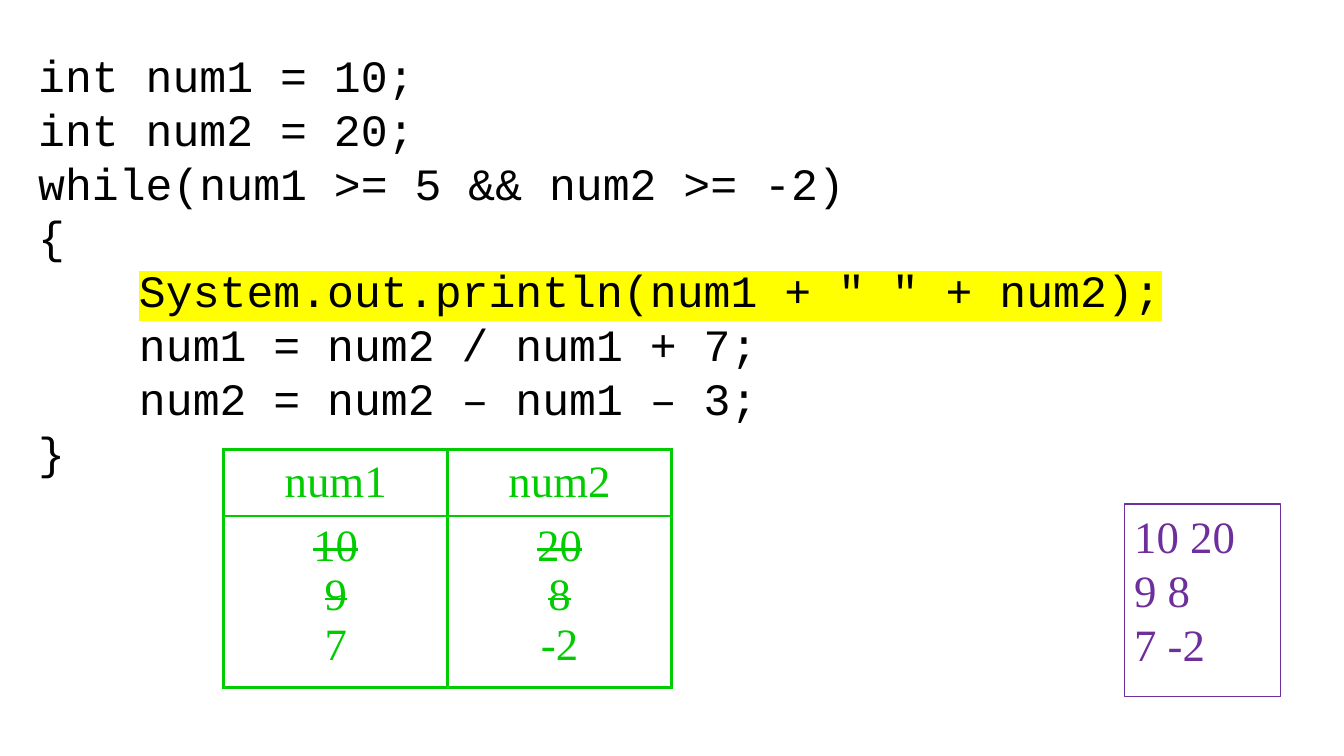
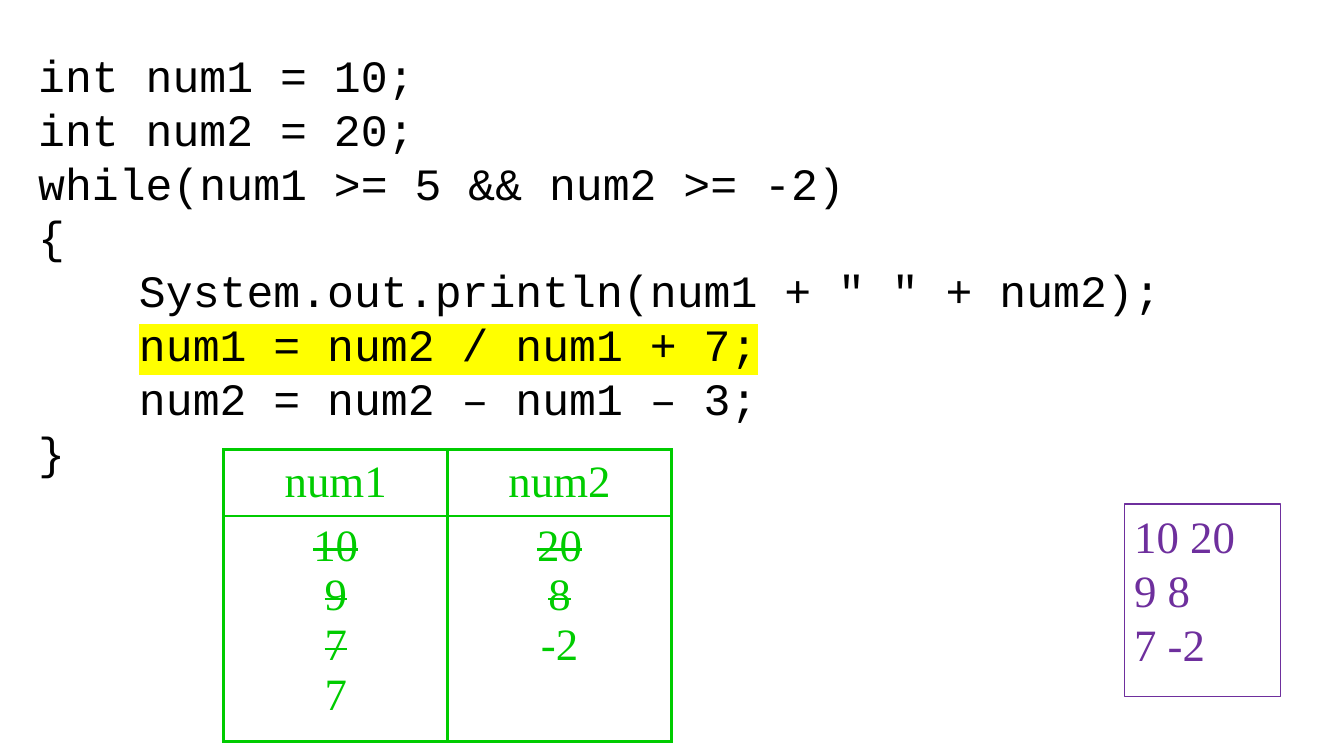
from dataclasses import dataclass

from lxml import etree
from pptx import Presentation
from pptx import util as u
from pptx.dml.color import RGBColor
from pptx.enum import shapes, text
from pptx.oxml import ns

PX = 9144  # 100 px to the inch


@dataclass(frozen=True)
class Theme:
    code: str = "000000"
    trace: str = "00CC00"
    output: str = "6E2F9D"
    mark: str = "FFFF00"
    mono: str = "Courier New"
    serif: str = "Times New Roman"
    size: float = 32
    leading: float = 38.5
    border: float = 2.25
    frame: float = 1
    tab: int = 100


THEME = Theme()

CODE = [
    "int num1 = 10;",
    "int num2 = 20;",
    "while(num1 >= 5 && num2 >= -2)",
    "{",
    "\tSystem.out.println(num1 + \" \" + num2);",
    "\tnum1 = num2 / num1 + 7;",
    "\tnum2 = num2 – num1 – 3;",
    "}",
]
OUTPUT = ["10 20", "9 8", "7 -2"]

# One step of the trace per slide: marked code line, variable values, values row height
STEPS = [
    (4, {"num1": ["10", "9", "7"], "num2": ["20", "8", "-2"]}, 169),
    (5, {"num1": ["10", "9", "7", "7"], "num2": ["20", "8", "-2"]}, 223),
]


def px(*lengths):
    return [u.Emu(n * PX) for n in lengths]


# Text
def style_run(r, font, color):
    r.font.size = u.Pt(THEME.size)
    r.font.name = font
    r.font.color.rgb = RGBColor.from_string(color)


def highlight(r):
    mark = etree.Element(ns.qn("a:highlight"))
    etree.SubElement(mark, ns.qn("a:srgbClr"), val=THEME.mark)
    r.font._element.find(ns.qn("a:solidFill")).addnext(mark)


def set_tab(p):
    tabs = etree.SubElement(p._p.get_or_add_pPr(), ns.qn("a:tabLst"))
    etree.SubElement(tabs, ns.qn("a:tab"), pos=str(THEME.tab * PX), algn="l")


def write_lines(tf, lines, font, color, align, leading=None):
    tf.text = "\n".join(lines)
    for p in tf.paragraphs:
        p.alignment = align
        if leading:
            p.line_spacing = u.Pt(leading)
        for r in p.runs:
            style_run(r, font, color)


# Code listing with the current statement marked
def add_code(slide, marked):
    sp = slide.shapes.add_textbox(*px(28, 42, 1221, 441))
    tf = sp.text_frame
    tf.word_wrap = True
    write_lines(tf, CODE, THEME.mono, THEME.code, text.PP_ALIGN.LEFT, THEME.leading)
    for p in tf.paragraphs:
        set_tab(p)
    p = tf.paragraphs[marked]
    p.runs[0].text = "\t"
    r = p.add_run()
    r.text = CODE[marked].strip()
    style_run(r, THEME.mono, THEME.code)
    highlight(r)


# Table of variable values, the outdated ones struck through
def set_borders(cell):
    tcPr = cell._tc.get_or_add_tcPr()
    for i, side in enumerate(("lnL", "lnR", "lnT", "lnB")):
        ln = etree.Element(ns.qn(f"a:{side}"), w=str(u.Pt(THEME.border)))
        fill = etree.SubElement(ln, ns.qn("a:solidFill"))
        etree.SubElement(fill, ns.qn("a:srgbClr"), val=THEME.trace)
        tcPr.insert(i, ln)


def fill_cell(cell, lines, anchor):
    cell.fill.background()
    set_borders(cell)
    cell.vertical_anchor = anchor
    write_lines(cell.text_frame, lines, THEME.serif, THEME.trace, text.PP_ALIGN.CENTER)


def add_trace(slide, variables, values_height):
    heights = (66, values_height)
    frame = slide.shapes.add_table(2, len(variables), *px(222, 446, 444, sum(heights)))
    table = frame.table
    table.first_row = table.horz_banding = False
    for row, height in zip(table.rows, px(*heights)):
        row.height = height
    for col, (name, values) in enumerate(variables.items()):
        fill_cell(table.cell(0, col), [name], text.MSO_ANCHOR.MIDDLE)
        cell = table.cell(1, col)
        fill_cell(cell, values, text.MSO_ANCHOR.TOP)
        for p in cell.text_frame.paragraphs[:-1]:
            p.runs[0].font._element.set("strike", "sngStrike")


# Framed program output
def add_output(slide):
    sp = slide.shapes.add_shape(shapes.MSO_SHAPE.RECTANGLE, *px(1115, 500, 155, 191))
    sp.shadow.inherit = False
    sp.fill.background()
    sp.line.color.rgb = RGBColor.from_string(THEME.output)
    sp.line.width = u.Pt(THEME.frame)
    tf = sp.text_frame
    tf.word_wrap = True
    tf.vertical_anchor = text.MSO_ANCHOR.TOP
    write_lines(tf, OUTPUT, THEME.serif, THEME.output, text.PP_ALIGN.LEFT, THEME.leading)


def main():
    prs = Presentation()
    prs.slide_width, prs.slide_height = px(1333, 750)
    for marked, variables, values_height in STEPS:
        slide = prs.slides.add_slide(prs.slide_layouts[6])
        add_code(slide, marked)
        add_trace(slide, variables, values_height)
        add_output(slide)
    prs.save("out.pptx")


if __name__ == "__main__":
    main()
